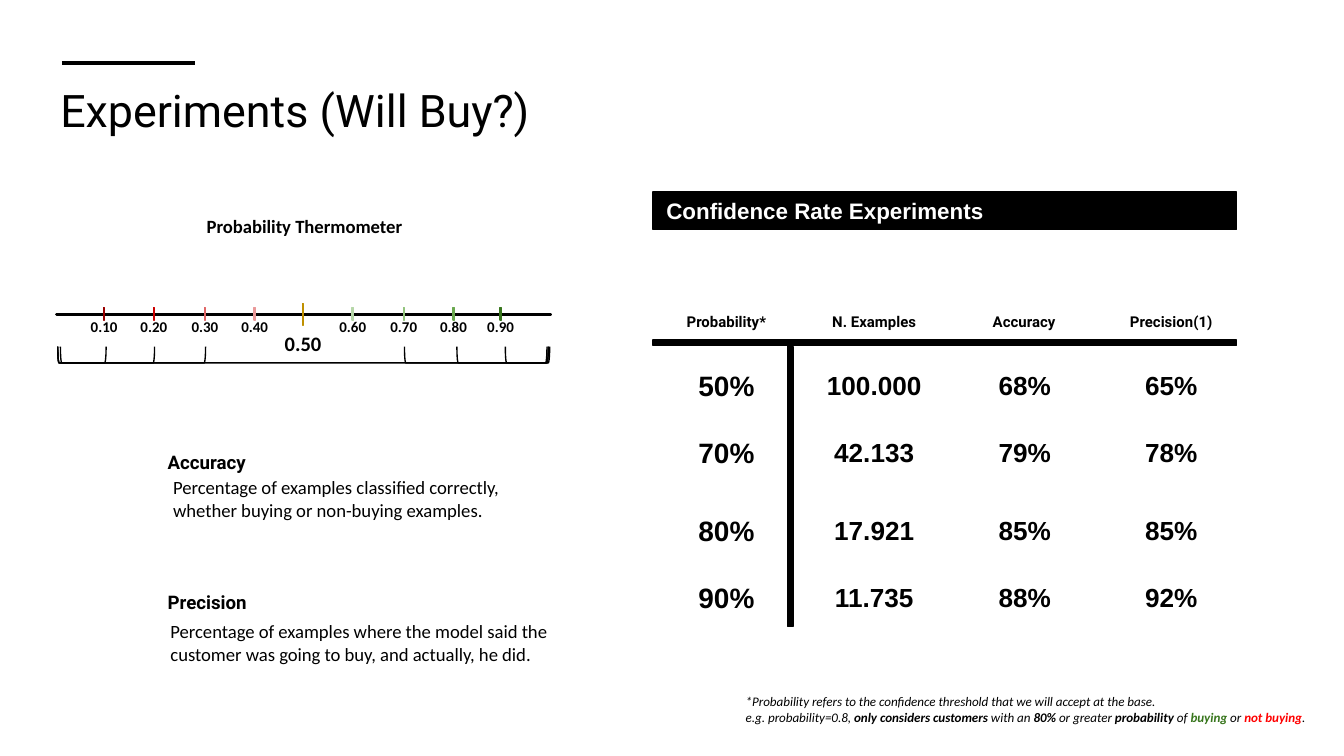
from lxml import etree
from pptx import Presentation
from pptx.dml.color import RGBColor
from pptx.enum.shapes import MSO_CONNECTOR, MSO_SHAPE
from pptx.enum.text import MSO_ANCHOR, PP_ALIGN
from pptx.oxml.ns import qn
from pptx.util import Inches, Pt

BLACK = RGBColor(0x00, 0x00, 0x00)
WHITE = RGBColor(0xFF, 0xFF, 0xFF)
GREY = RGBColor(0xEE, 0xEE, 0xEE)
GOLD = RGBColor(0xBF, 0x90, 0x00)
GREEN = RGBColor(0x38, 0x76, 0x1D)
RED = RGBColor(0xFF, 0x00, 0x00)

# Label, offset of the tick on the scale, colour
TICKS = [
    ("0.10", 0.35, RGBColor(0x99, 0x00, 0x00)),
    ("0.20", 0.72, RGBColor(0xCC, 0x00, 0x00)),
    ("0.30", 1.10, RGBColor(0xE0, 0x66, 0x66)),
    ("0.40", 1.47, RGBColor(0xEA, 0x99, 0x99)),
    ("0.50", 1.83, GOLD),
    ("0.60", 2.20, RGBColor(0xB6, 0xD7, 0xA8)),
    ("0.70", 2.58, RGBColor(0x93, 0xC4, 0x7D)),
    ("0.80", 2.95, RGBColor(0x6A, 0xA8, 0x4F)),
    ("0.90", 3.30, GREEN),
]
# Start and end of each bracket under the scale
BRACKETS = [(0.03, 3.67), (0.01, 1.11), (2.59, 3.66), (0.01, 0.73),
            (2.98, 3.65), (0.01, 0.37), (3.34, 3.66)]

# Heading, left and width of the heading, left of the values, value size
COLUMNS = [
    ("Probability*", 0.14, 0.81, 0, 15),
    ("N. Examples", 1.19, 0.91, 1.10, 14),
    ("Accuracy", 2.37, 0.78, 2.22, 14),
    ("Precision(1)", 3.27, 1.17, 3.31, 14),
]
ROWS = [
    (1.28, ["50%", "100.000", "68%", "65%"]),
    (1.78, ["70%", "42.133", "79%", "78%"]),
    (2.36, ["80%", "17.921", "85%", "85%"]),
    (2.86, ["90%", "11.735", "88%", "92%"]),
]

FOOTNOTE = [
    [("*Probability refers to the confidence threshold that we will accept "
      "at the base.", False, BLACK)],
    [("e.g. probability=0.8, ", False, BLACK),
     ("only considers customers", True, BLACK),
     (" with an ", False, BLACK),
     ("80%", True, BLACK),
     (" or greater ", False, BLACK),
     ("probability", True, BLACK),
     (" of ", False, BLACK),
     ("buying", True, GREEN),
     (" or ", False, BLACK),
     ("not buying", True, RED),
     (".", False, BLACK)],
]


def set_frame(shape, anchor=MSO_ANCHOR.MIDDLE):
    frame = shape.text_frame
    frame.word_wrap = True
    frame.vertical_anchor = anchor
    frame.margin_left = frame.margin_right = Inches(0.1)
    frame.margin_top = frame.margin_bottom = Inches(0.1)
    return frame


def write(shape, text, size, font, bold, color=BLACK, align=PP_ALIGN.LEFT,
          anchor=MSO_ANCHOR.MIDDLE):
    frame = set_frame(shape, anchor)
    frame.text = text
    paragraph = frame.paragraphs[0]
    paragraph.alignment = align
    run_font = paragraph.runs[0].font
    run_font.size, run_font.name, run_font.bold = Pt(size), font, bold
    run_font.color.rgb = color


def add_text(slide, text, left, top, width, height, size, font, bold=False,
             **layout):
    box = slide.shapes.add_textbox(Inches(left), Inches(top),
                                   Inches(width), Inches(height))
    write(box, text, size, font, bold, **layout)


def add_shape(slide, left, top, width, height, fill=None, line=BLACK,
              line_width=0.75, kind=MSO_SHAPE.RECTANGLE):
    shape = slide.shapes.add_shape(kind, Inches(left), Inches(top),
                                   Inches(width), Inches(height))
    shape.shadow.inherit = False
    if fill is None:
        shape.fill.background()
    else:
        shape.fill.solid()
        shape.fill.fore_color.rgb = fill
    shape.line.color.rgb = line
    shape.line.width = Pt(line_width)
    return shape


def add_title(slide, left, top):
    rule = slide.shapes.add_connector(
        MSO_CONNECTOR.STRAIGHT, Inches(left + 0.11), Inches(top),
        Inches(left + 1.1), Inches(top))
    rule.line.color.rgb = BLACK
    rule.line.width = Pt(2.25)
    etree.SubElement(rule._element.spPr, qn("a:effectLst"))
    add_text(slide, "Experiments (Will Buy?)", left, top + 0.08, 8.81, 0.53,
             24, "Roboto")


def add_bracket(slide, start, end, middle):
    # A left bracket turned to open upwards
    depth, length = 0.12, end - start
    bracket = add_shape(slide, (start + end - depth) / 2, middle - length / 2,
                        depth, length, kind=MSO_SHAPE.LEFT_BRACKET)
    bracket.rotation = 270


def add_thermometer(slide, left, top):
    add_text(slide, "Probability Thermometer", left + 0.76, top, 2.17, 0.24,
             10, "Calibri", True, align=PP_ALIGN.CENTER)
    # Scale with ticks and labels
    axis = top + 0.78
    add_shape(slide, left, axis, 3.68, 0, GREY, line_width=1.5)
    for label, offset, color in TICKS:
        central = label == "0.50"
        rise, tick_height = (0.08, 0.16) if central else (0.05, 0.09)
        drop, label_height, size = (0.03, 0.39, 11) if central else (-0.04, 0.34, 8)
        tick = left + offset
        add_shape(slide, tick, axis - rise, 0.01, tick_height, color, color)
        add_text(slide, label, tick - 0.24, axis + drop, 0.49, label_height,
                 size, "Calibri", True, align=PP_ALIGN.CENTER,
                 anchor=MSO_ANCHOR.TOP)
    # Confidence ranges
    for start, end in BRACKETS:
        add_bracket(slide, left + start, left + end, axis + 0.3)


def add_definition(slide, left, top, term, meaning, indent, drop):
    add_text(slide, term, left, top, 1.17, 0.16, 10, "Roboto", True)
    add_text(slide, meaning, left + indent, top + drop, 3, 0.6, 10, "Calibri")


def add_results(slide, left, top, width):
    # Banner
    banner = add_shape(slide, left, top, width, 0.28, BLACK)
    write(banner, "Confidence Rate Experiments", 12, "Arial", True, WHITE)
    # Rules under the headings and beside the first column
    add_shape(slide, left, top + 1.1, width, 0.04, BLACK)
    divider = add_shape(slide, left - 0.02, top + 2.17, 2.08, 0.04, BLACK)
    divider.rotation = 90
    # Headings and values
    for index, (heading, offset, heading_width, value_left, size) in enumerate(COLUMNS):
        add_text(slide, heading, left + offset, top + 0.88, heading_width, 0.16,
                 8, "Roboto", True, align=PP_ALIGN.CENTER)
        for row_top, values in ROWS:
            add_text(slide, values[index], left + value_left, top + row_top,
                     1.09, 0.31, size, "Arial", True, align=PP_ALIGN.CENTER)


def add_footnote(slide, left, top, width, height):
    box = slide.shapes.add_textbox(Inches(left), Inches(top),
                                   Inches(width), Inches(height))
    frame = set_frame(box)
    for index, parts in enumerate(FOOTNOTE):
        paragraph = frame.add_paragraph() if index else frame.paragraphs[0]
        for text, bold, color in parts:
            run = paragraph.add_run()
            run.text = text
            run.font.name, run.font.size = "Calibri", Pt(7)
            run.font.italic, run.font.bold = True, bold
            run.font.color.rgb = color


def main():
    presentation = Presentation()
    # Widescreen, 16:9
    presentation.slide_width = Inches(10)
    presentation.slide_height = presentation.slide_width * 9 // 16
    slide = presentation.slides.add_slide(presentation.slide_layouts[6])
    add_title(slide, 0.35, 0.47)
    add_thermometer(slide, 0.42, 1.56)
    add_definition(slide, 1.15, 3.36, "Accuracy",
                   "Percentage of examples classified correctly, whether "
                   "buying or non-buying examples.", 0.04, 0.05)
    add_definition(slide, 1.15, 4.4, "Precision",
                   "Percentage of examples where the model said the customer "
                   "was going to buy, and actually, he did.", 0.02, 0.08)
    add_results(slide, 4.86, 1.43, 4.34)
    add_footnote(slide, 5.45, 5.06, 4.45, 0.44)
    presentation.save("out.pptx")


if __name__ == "__main__":
    main()
